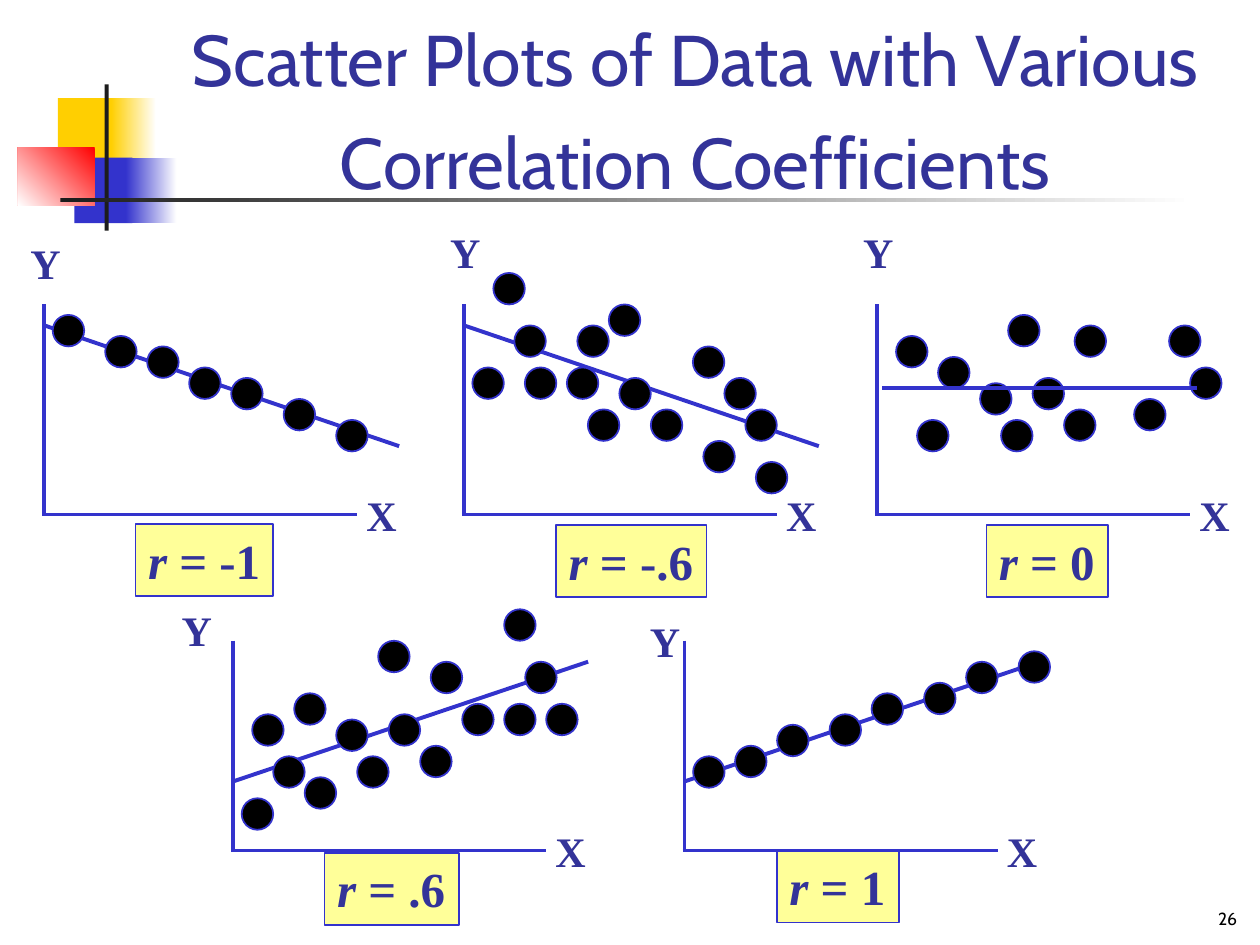
from dataclasses import dataclass
from lxml import etree
from pptx import Presentation
from pptx.dml.color import RGBColor
from pptx.enum.shapes import MSO_CONNECTOR, MSO_SHAPE
from pptx.enum.text import MSO_ANCHOR, MSO_AUTO_SIZE, PP_ALIGN
from pptx.oxml.ns import qn
from pptx.util import Cm, Pt

RECT, OVAL = MSO_SHAPE.RECTANGLE, MSO_SHAPE.OVAL
STRAIGHT = MSO_CONNECTOR.STRAIGHT
BOTTOM, TOP = MSO_ANCHOR.BOTTOM, MSO_ANCHOR.TOP
FIT, NO_FIT = MSO_AUTO_SIZE.SHAPE_TO_FIT_TEXT, MSO_AUTO_SIZE.NONE
LEFT, CENTER, RIGHT = PP_ALIGN.LEFT, PP_ALIGN.CENTER, PP_ALIGN.RIGHT

COLORS = {
    "text": "333399", "blue": "3333CC", "yellow": "FFCF01", "red": "FF0000",
    "dark": "1C1C1C", "white": "FFFFFF", "black": "000000", "label": "FFFF99",
}
SERIF, SANS = "Times New Roman", "Cabin"
UNIT = 2.54 / 12
DOT = 3 * UNIT


@dataclass
class Plot:
    x: float
    y: float
    r: str
    label: tuple
    y_label: tuple
    trend: tuple
    dots: list
    trend_in_front: bool = False

    def at(self, col, row):
        return self.x + col * UNIT, self.y - row * UNIT


FALLING, RISING = (0.2, 18, 34, 6.5), (0.2, 6.6, 34, 18)
PLOTS = [
    Plot(0.85, 10.37, "-1", (8.9, -0.9, 13.1), (-2.3, 27), FALLING,
         [(28, 9), (18, 13), (14, 14), (1, 19), (6, 17), (10, 16), (23, 11)]),
    Plot(9.31, 10.37, "-.6", (9, -1, 14.3), (-2.3, 28), FALLING,
         [(28, 5), (27, 10), (3, 23), (5, 18), (23, 7), (1, 14), (18, 10), (11, 18),
          (14, 20), (25, 13), (6, 14), (22, 16), (10, 14), (15, 13), (12, 10)]),
    Plot(17.64, 10.37, "0", (10.6, -1, 11.6), (-2.3, 28), (0.67, 12, 30.67, 12),
         [(4, 9), (28, 18), (30, 14), (18, 10), (19, 18), (12.67, 19),
          (2, 17), (6, 15), (10, 12.5), (15, 13), (12, 9), (24.67, 11)], True),
    Plot(4.66, 17.15, ".6", (8.9, -0.2, 12.8), (-5.9, 24), RISING,
         [(1, 5), (4, 9), (26, 23), (28, 18), (7, 7), (30, 14), (18, 10), (19, 18),
          (14, 20), (2, 13), (6, 15), (10, 12.5), (22, 14), (15, 13), (12, 9), (26, 14)]),
    Plot(13.76, 17.15, "1", (9, 0, 11.6), (-4.3, 23), RISING,
         [(1, 9), (5, 10), (32, 19), (27, 18), (9, 12), (18, 15), (14, 13), (23, 16)]),
]

DECOR = [
    (1.17, 1.98, 1.22, 1.32, "yellow", None, 0),
    (2.24, 1.98, 0.91, 1.32, "yellow", "white", 0),
    (1.5, 3.18, 1.17, 1.32, "blue", None, 0),
    (2.54, 3.18, 1.02, 1.32, "blue", "white", 0),
    (0.36, 2.97, 1.55, 1.17, "red", "white", 225),
    (2.11, 1.7, 0.08, 2.95, "dark", None, 0),
    (1.22, 3.99, 22.86, 0.08, "dark", "white", 0),
]


def rgb(name):
    return RGBColor.from_string(COLORS[name])


def paint(s, fill, line=None):
    s.fill.solid()
    s.fill.fore_color.rgb = rgb(fill)
    if line:
        s.line.color.rgb = rgb(line)
        s.line.width = Pt(1)
    else:
        s.line.fill.background()


def add_shape(slide, kind, x, y, w, h, fill, line=None):
    s = slide.shapes.add_shape(kind, Cm(x), Cm(y), Cm(w), Cm(h))
    s.shadow.inherit = False
    paint(s, fill, line)
    return s


def add_block(slide, x, y, w, h, color, fade, angle):
    s = add_shape(slide, RECT, x, y, w, h, color)
    if fade:
        s.fill.gradient()
        s.fill.gradient_angle = angle
        for stop, name in zip(s.fill.gradient_stops, (color, fade)):
            stop.color.rgb = rgb(name)


def add_line(slide, start, end, width=2):
    c = slide.shapes.add_connector(STRAIGHT, *map(Cm, start + end))
    c.line.color.rgb = rgb("blue")
    c.line.width = Pt(width)
    etree.SubElement(c.element.spPr, qn("a:effectLst"))


def set_text(s, runs, size, font, color="text", bold=False, align=LEFT,
             anchor=TOP, wrap=False):
    tf = s.text_frame
    tf.auto_size = NO_FIT if wrap else FIT
    tf.word_wrap = wrap
    tf.vertical_anchor = anchor
    p = tf.paragraphs[0]
    p.alignment = align
    for text, italic in runs:
        r = p.add_run()
        r.text = text
        if italic:
            r.font.italic = True
    p.font.size, p.font.name, p.font.bold = Pt(size), font, bold
    p.font.color.rgb = rgb(color)
    return p


def add_text(slide, runs, x, y, w, h, size, font, **style):
    s = slide.shapes.add_textbox(Cm(x), Cm(y), Cm(w), Cm(h))
    set_text(s, runs, size, font, **style)
    return s


def add_title(slide, text):
    s = slide.shapes.title
    s.left, s.top, s.width, s.height = Cm(3.2), Cm(1.07), Cm(21.64), Cm(3.17)
    p = set_text(s, [(text, False)], 41, SANS, align=CENTER, anchor=BOTTOM, wrap=True)
    p.line_spacing = 1.2


def add_trend(slide, plot):
    c1, r1, c2, r2 = plot.trend
    add_line(slide, plot.at(c1, r1), plot.at(c2, r2), 2.25)


def add_plot(slide, plot):
    add_line(slide, plot.at(0.2, 20), plot.at(0.2, 0))
    add_line(slide, plot.at(0, 0), plot.at(30, 0))
    if not plot.trend_in_front:
        add_trend(slide, plot)
    for dot in plot.dots:
        add_shape(slide, OVAL, *plot.at(*dot), DOT, DOT, "black", "blue")
    if plot.trend_in_front:
        add_trend(slide, plot)
    for text, spot in (("Y", plot.y_label), ("X", (29.7, 3))):
        add_text(slide, [(text, False)], *plot.at(*spot), 1.12, 1.27, 24, SERIF, bold=True)


def add_label(slide, plot):
    col, row, width = plot.label
    runs = [("r", True), (f" = {plot.r}", False)]
    s = add_text(slide, runs, *plot.at(col, row), width * UNIT, 1.45, 28, SERIF, bold=True)
    paint(s, "label", "blue")


def main():
    prs = Presentation()
    prs.slide_width, prs.slide_height = Cm(25.4), Cm(19.05)
    slide = prs.slides.add_slide(prs.slide_layouts[5])
    for block in DECOR:
        add_block(slide, *block)
    add_title(slide, "Scatter Plots of Data with Various Correlation Coefficients")
    for plot in PLOTS:
        add_plot(slide, plot)
    for plot in PLOTS:
        add_label(slide, plot)
    add_text(slide, [("26", False)], 19.91, 17.55, 5.28, 1.3, 10, SANS, color="black",
             align=RIGHT, anchor=BOTTOM, wrap=True)
    prs.save("out.pptx")


if __name__ == "__main__":
    main()
